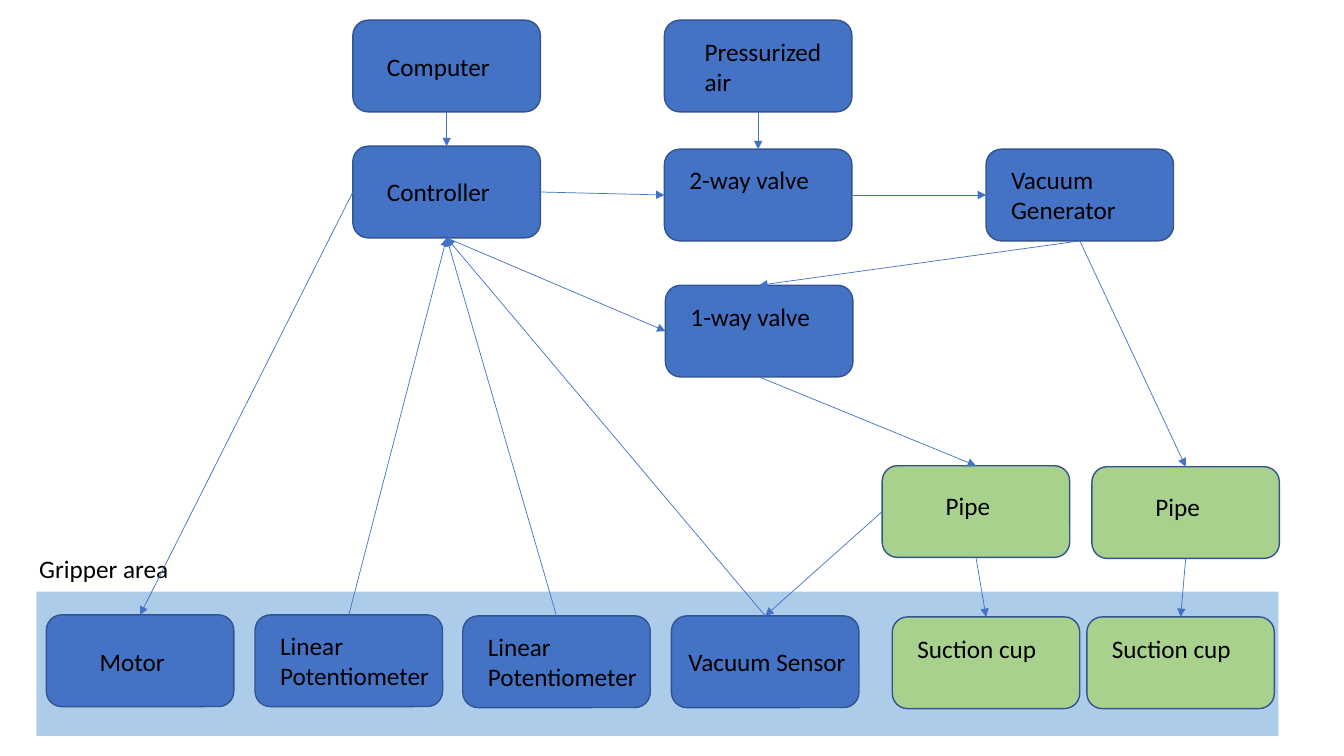
"""Block diagram of a vacuum gripper and its control parts."""
from lxml.etree import SubElement
from pptx import Presentation
from pptx.dml.color import RGBColor
from pptx.enum.shapes import MSO_CONNECTOR, MSO_SHAPE
from pptx.enum.text import MSO_AUTO_SIZE
from pptx.oxml.ns import qn
from pptx.util import Inches, Pt

BLUE = RGBColor(0x44, 0x72, 0xC4)
GREEN = RGBColor(0xA9, 0xD1, 0x8E)
EDGE = RGBColor(0x32, 0x54, 0x91)
PALE = RGBColor(0x5B, 0x9B, 0xD5)
BLACK = RGBColor(0, 0, 0)
TOP, LEFT, BOTTOM, RIGHT = range(4)
WIDTH, HEIGHT = 1.86, 0.91

deck = Presentation()
deck.slide_width, deck.slide_height = Inches(13.33), Inches(7.5)
shapes = deck.slides.add_slide(deck.slide_layouts[6]).shapes


def add_block(kind, x, y, w, h, color):
    block = shapes.add_shape(kind, Inches(x), Inches(y), Inches(w), Inches(h))
    block.shadow.inherit = False
    block.fill.solid()
    block.fill.fore_color.rgb = color
    return block


def add_label(text, x, y, w, h):
    label = shapes.add_textbox(Inches(x), Inches(y), Inches(w), Inches(h))
    frame = label.text_frame
    frame.word_wrap = True
    frame.auto_size = MSO_AUTO_SIZE.SHAPE_TO_FIT_TEXT
    frame.text = text
    font = frame.paragraphs[0].font
    font.name, font.size = "Calibri", Pt(18)
    font.color.rgb = BLACK


area = add_block(MSO_SHAPE.RECTANGLE, 0.36, 5.87, 12.32, 1.43, PALE)
area.line.fill.background()
tint = area.fill._xPr.find(".//" + qn("a:srgbClr"))
SubElement(tint, qn("a:alpha"), val="50000")
add_label("Gripper area", 0.29, 5.44, 1.58, 0.4)

# name: (text, block left, block top, label offset x, y, label width, height, color)
parts = {
    "computer": ("Computer", 3.5, 0.2, 0.24, 0.26, 1.37, 0.4, BLUE),
    "air": ("Pressurized air", 6.59, 0.2, 0.3, 0.11, 1.37, 0.71, BLUE),
    "board": ("Controller", 3.5, 1.45, 0.24, 0.25, 1.37, 0.4, BLUE),
    "two way": ("2-way valve", 6.59, 1.48, 0.15, 0.1, 1.57, 0.4, BLUE),
    "vacuum": ("Vacuum Generator", 9.78, 1.48, 0.15, 0.1, 1.59, 0.71, BLUE),
    "one way": ("1-way valve", 6.6, 2.83, 0.15, 0.11, 1.51, 0.4, BLUE),
    "pipe 1": ("Pipe", 8.75, 4.62, 0.53, 0.2, 1.51, 0.4, GREEN),
    "pipe 2": ("Pipe", 10.83, 4.63, 0.53, 0.2, 1.51, 0.4, GREEN),
    "motor": ("Motor", 0.46, 6.1, 0.43, 0.26, 1.12, 0.4, BLUE),
    "meter 1": ("Linear Potentiometer", 2.53, 6.1, 0.15, 0.1, 1.86, 0.71, BLUE),
    "meter 2": ("Linear Potentiometer", 4.59, 6.11, 0.15, 0.1, 1.86, 0.71, BLUE),
    "sensor": ("Vacuum Sensor", 6.66, 6.11, 0.07, 0.25, 1.86, 0.4, BLUE),
    "cup 1": ("Suction cup", 8.85, 6.12, 0.15, 0.11, 1.51, 0.4, GREEN),
    "cup 2": ("Suction cup", 10.78, 6.12, 0.15, 0.11, 1.51, 0.4, GREEN),
}
blocks = {}
for name, (text, x, y, dx, dy, w, h, color) in parts.items():
    block = add_block(MSO_SHAPE.ROUNDED_RECTANGLE, x, y, WIDTH, HEIGHT, color)
    block.line.color.rgb = EDGE
    block.line.width = Pt(1)
    blocks[name] = block
    add_label(text, x + dx, y + dy, w, h)

arrows = [
    ("computer", BOTTOM, "board", TOP),
    ("air", BOTTOM, "two way", TOP),
    ("board", RIGHT, "two way", LEFT),
    ("board", BOTTOM, "one way", LEFT),
    ("board", LEFT, "motor", TOP),
    ("two way", RIGHT, "vacuum", LEFT),
    ("vacuum", BOTTOM, "one way", TOP),
    ("vacuum", BOTTOM, "pipe 2", TOP),
    ("one way", BOTTOM, "pipe 1", TOP),
    ("pipe 1", BOTTOM, "cup 1", TOP),
    ("pipe 2", BOTTOM, "cup 2", TOP),
    ("pipe 1", LEFT, "sensor", TOP),
    ("meter 1", TOP, "board", BOTTOM),
    ("meter 2", TOP, "board", BOTTOM),
    ("sensor", TOP, "board", BOTTOM),
]
for start, exit_side, end, entry in arrows:
    arrow = shapes.add_connector(MSO_CONNECTOR.STRAIGHT, 0, 0, 0, 0)
    arrow.begin_connect(blocks[start], exit_side)
    arrow.end_connect(blocks[end], entry)
    arrow.line.color.rgb = BLUE
    arrow.line.width = Pt(0.5)
    SubElement(arrow.line._ln, qn("a:tailEnd"), type="triangle")
    SubElement(arrow._element.spPr, qn("a:effectLst"))

deck.save("out.pptx")
